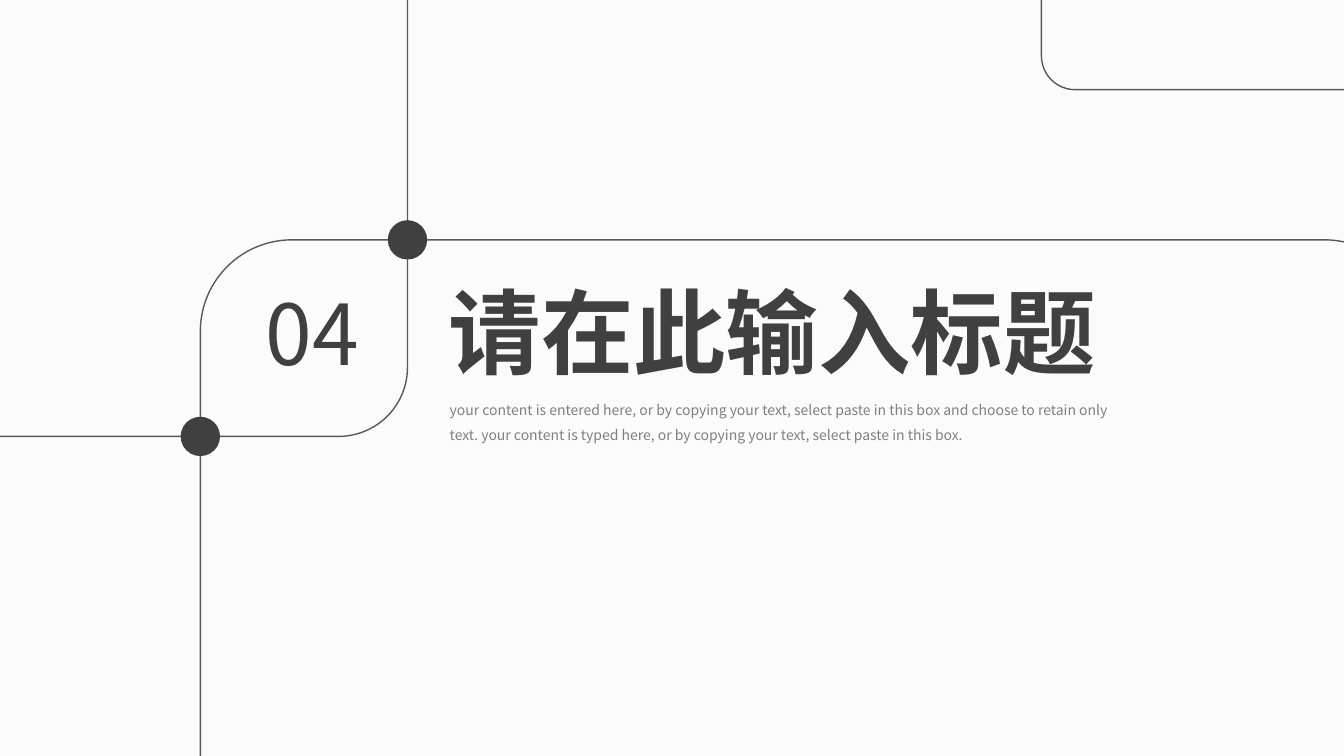
"""Build a section slide with a number, a title and linked rounded frames."""
from lxml.etree import SubElement
from pptx import Presentation
from pptx.dml.color import RGBColor
from pptx.enum.shapes import MSO_SHAPE as SHAPE
from pptx.enum.text import MSO_ANCHOR, MSO_AUTO_SIZE as FIT, PP_ALIGN
from pptx.oxml.ns import qn
from pptx.util import Inches, Pt

THEME = {
    "font": "Noto Sans CJK SC",
    "back": RGBColor.from_string("FBFBFB"),
    "line": RGBColor.from_string("595959"),
    "dark": RGBColor.from_string("404040"),
    "grey": RGBColor.from_string("808080"),
    "title": Pt(66),
    "number": Pt(60),
    "body": Pt(10),
}

prs = Presentation()
prs.slide_width, prs.slide_height = Inches(13.33), Inches(7.5)
col, row = prs.slide_width / 100, prs.slide_height / 100
s = prs.slides.add_slide(prs.slide_layouts[2])
s.background.fill.solid()
s.background.fill.fore_color.rgb = THEME["back"]


def box(left, top, width, height):
    """Turn percentages of the slide into a position and size."""
    return int(left * col), int(top * row), int(width * col), int(height * row)


def write(sp, place, text, size, color, bold=False, wrap=False, spacing=1.0):
    """Place a text shape and fill it with one formatted paragraph."""
    sp.left, sp.top, sp.width, sp.height = box(*place)
    tf = sp.text_frame
    tf.text = text
    tf.word_wrap = wrap
    tf.auto_size = FIT.SHAPE_TO_FIT_TEXT
    tf.vertical_anchor = MSO_ANCHOR.TOP
    p = tf.paragraphs[0]
    p.alignment = PP_ALIGN.LEFT
    p.line_spacing = spacing
    p.space_before = Pt(0)
    p.font.size, p.font.bold = THEME[size], bold
    p.font.color.rgb = THEME[color]
    p.font.name = THEME["font"]
    SubElement(p._p.pPr.find(qn("a:defRPr")), qn("a:ea"), typeface=THEME["font"])


node_x, node_y = (14.91, 30.32), (31.73, 57.73)
frames = [
    (-16.35, -36.27, node_x[1] + 16.35, node_y[1] + 36.27, 0.11),
    (node_x[0], node_y[0], 90.47, 100.8, 0.12),
    (77.49, -17.87, 32.33, 29.73, 0.15),
]
for *place, corner in frames:
    sp = s.shapes.add_shape(SHAPE.ROUNDED_RECTANGLE, *box(*place))
    sp.adjustments[0] = corner
    sp.shadow.inherit = False
    sp.fill.background()
    sp.line.color.rgb = THEME["line"]
    sp.line.width = Pt(1)

dot_w, dot_h = 2.93, 5.2
for x, y in zip(reversed(node_x), node_y):
    sp = s.shapes.add_shape(SHAPE.OVAL, *box(x - dot_w / 2, y - dot_h / 2, dot_w, dot_h))
    sp.shadow.inherit = False
    sp.fill.solid()
    sp.fill.fore_color.rgb = THEME["dark"]
    sp.line.fill.background()

write(s.shapes.title, (32.63, 35.73, 51.16, 16.13), "请在此输入标题",
      "title", "dark", bold=True)
write(s.placeholders[1], (32.71, 51.33, 50.79, 7.73),
      "your content is entered here, or by copying your text, select paste in this box "
      "and choose to retain only text. your content is typed here, or by copying your "
      "text, select paste in this box.",
      "body", "grey", wrap=True, spacing=1.5)
number = (19.05, 36.53, 8.55, 14.8)
write(s.shapes.add_textbox(*box(*number)), number, "04", "number", "dark")

prs.save("out.pptx")
